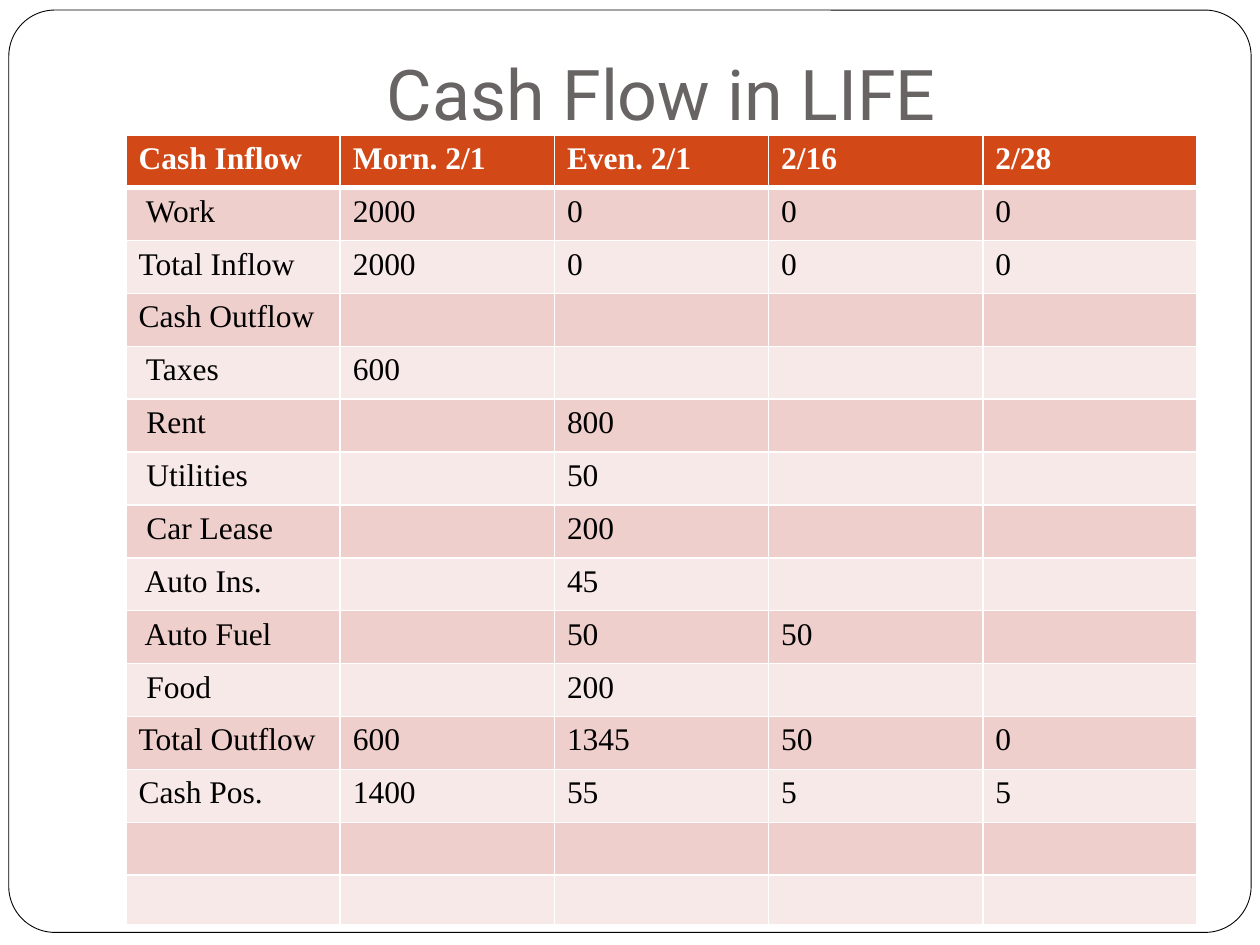
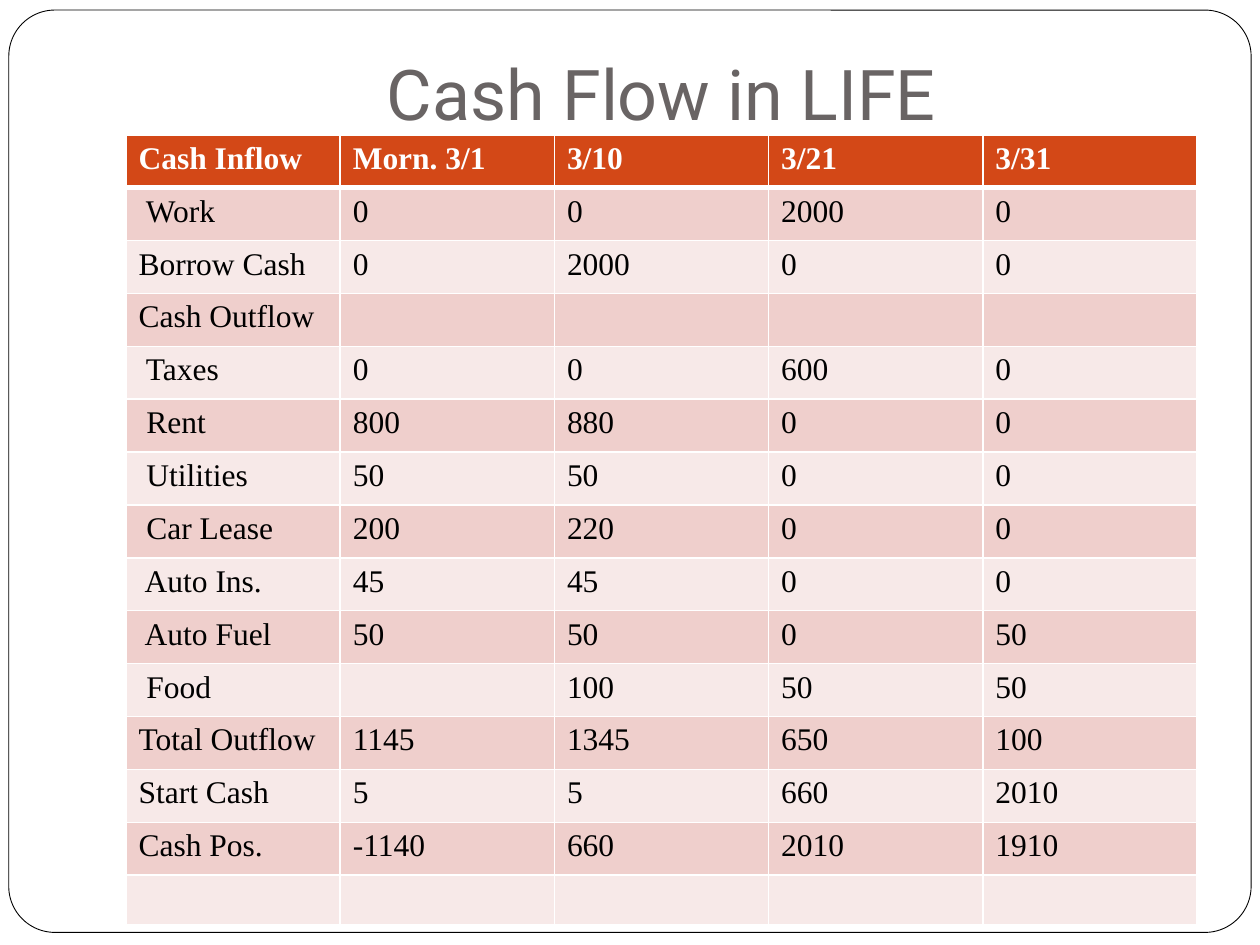
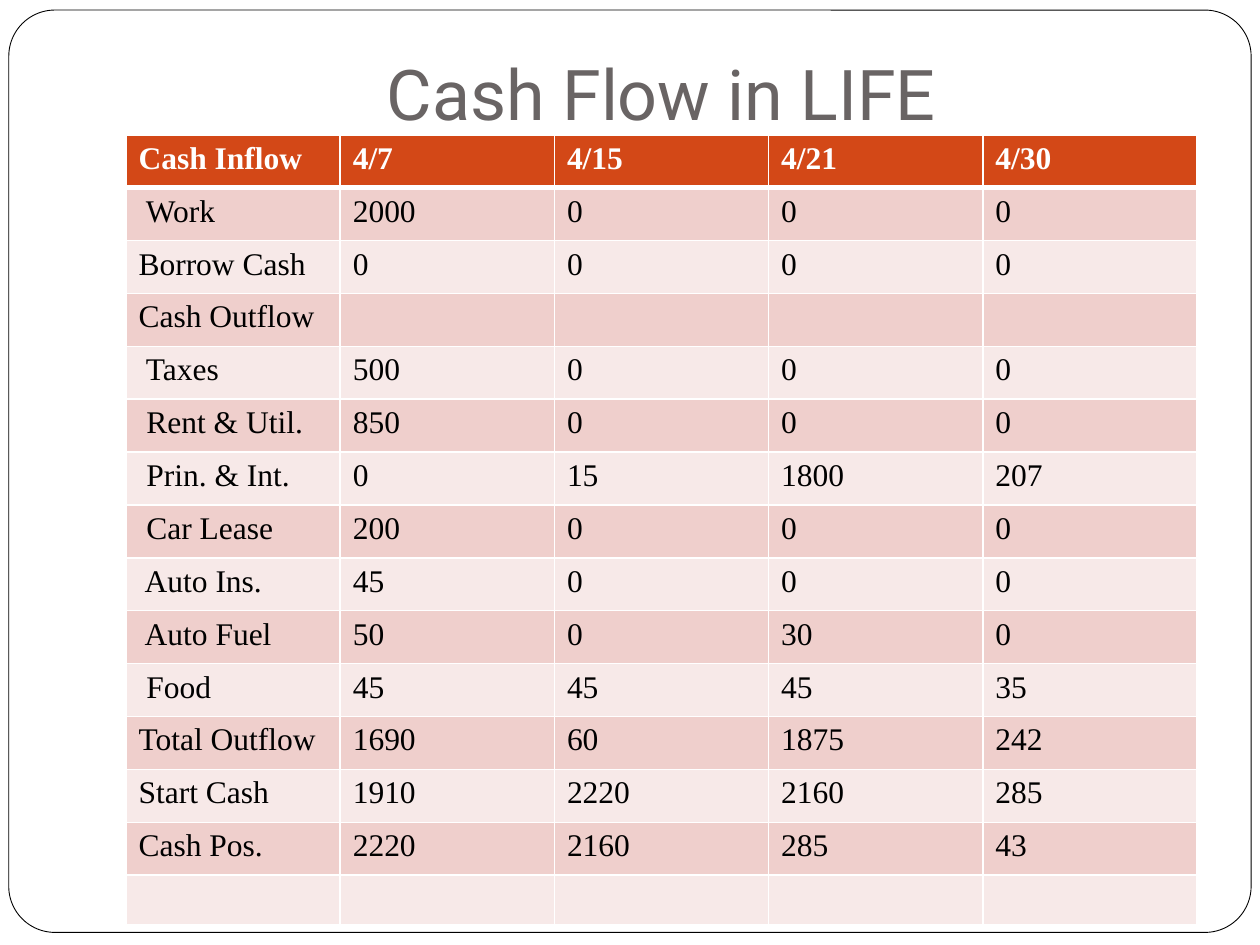
from pptx import Presentation, util as u
from pptx.dml.color import RGBColor
from pptx.enum import shapes, text
from pptx.oxml import parse_xml
from pptx.oxml.ns import nsdecls

WHITE = RGBColor(0xFF, 0xFF, 0xFF)
BLACK = RGBColor(0, 0, 0)
GRAY = RGBColor(0x69, 0x64, 0x64)
RUST = RGBColor(0xD3, 0x48, 0x17)
ROSE = RGBColor(0xEF, 0xCF, 0xCC)
BLUSH = RGBColor(0xF7, 0xE9, 0xE8)

FEB = """Cash Inflow|Morn. 2/1|Even. 2/1|2/16|2/28
 Work|2000|0|0|0
Total Inflow|2000|0|0|0
Cash Outflow||||
 Taxes|600|||
 Rent||800||
 Utilities||50||
 Car Lease||200||
 Auto Ins.||45||
 Auto Fuel||50|50|
 Food||200||
Total Outflow|600|1345|50|0
Cash Pos.|1400|55|5|5
||||
||||"""
MAR = """Cash Inflow|Morn. 3/1|3/10|3/21|3/31
 Work|0|0|2000|0
Borrow Cash|0|2000|0|0
Cash Outflow||||
 Taxes|0|0|600|0
 Rent|800|880|0|0
 Utilities|50|50|0|0
 Car Lease|200|220|0|0
 Auto Ins.|45|45|0|0
 Auto Fuel|50|50|0|50
 Food||100|50|50
Total Outflow|1145|1345|650|100
Start Cash|5|5|660|2010
Cash Pos.|-1140|660|2010|1910
||||"""
APR = """Cash Inflow|4/7|4/15|4/21|4/30
 Work|2000|0|0|0
Borrow Cash|0|0|0|0
Cash Outflow||||
 Taxes|500|0|0|0
 Rent & Util.|850|0|0|0
 Prin. & Int.|0|15|1800|207
 Car Lease|200|0|0|0
 Auto Ins.|45|0|0|0
 Auto Fuel|50|0|30|0
 Food|45|45|45|35
Total Outflow|1690|60|1875|242
Start Cash|1910|2220|2160|285
Cash Pos.|2220|2160|285|43
||||"""

deck = Presentation()
deck.slide_width, deck.slide_height = u.Inches(10), u.Inches(7.5)
LEFT, TOP = u.Inches(1), u.Inches(1.07)
COL, ROW, LAST = u.Inches(1.7), u.Inches(0.42), u.Inches(0.39)
layout = deck.slide_layouts[5]


def write(para, words, face, size, color, bold=False):
    run = para.add_run()
    run.text = words
    run.font.name = face
    run.font.size = u.Pt(size)
    run.font.color.rgb = color
    run.font.bold = bold


def edge(cell, side, width):
    cell._tc.get_or_add_tcPr().append(parse_xml(
        f'<a:{side} {nsdecls("a")} w="{u.Pt(width)}"><a:solidFill>'
        f'<a:srgbClr val="{WHITE}"/></a:solidFill></a:{side}>'))


for month in (FEB, MAR, APR):
    slide = deck.slides.add_slide(layout)
    if month is FEB:
        frame = slide.shapes.add_shape(
            shapes.MSO_SHAPE.ROUNDED_RECTANGLE,
            u.Inches(0.07), u.Inches(0.08), u.Inches(9.86), u.Inches(7.32))
        frame.adjustments[0] = 0.05
        frame.shadow.inherit = False
        frame.fill.solid()
        frame.fill.fore_color.rgb = WHITE
        frame.line.color.rgb = BLACK
        frame.line.width = u.Pt(0.5)
        layout.shapes.element.insert(2, frame.element)

    title = slide.shapes.title
    title.left, title.top = LEFT, u.Inches(0.3)
    title.width, title.height = 5 * COL, u.Inches(0.87)
    box = title.text_frame
    box.auto_size = text.MSO_AUTO_SIZE.NONE
    box.vertical_anchor = text.MSO_ANCHOR.BOTTOM
    box.margin_bottom = u.Inches(0.1)
    para = box.paragraphs[0]
    para.alignment = text.PP_ALIGN.CENTER
    write(para, "Cash Flow in LIFE", "Roboto", 40, GRAY)

    rows = [line.split("|") for line in month.split("\n")]
    end = len(rows) - 1
    table = slide.shapes.add_table(
        len(rows), 5, LEFT, TOP, 5 * COL, end * ROW + LAST).table
    for col in table.columns:
        col.width = COL
    for r, row in enumerate(rows):
        table.rows[r].height = LAST if r == end else ROW
        head = r == 0
        for c, words in enumerate(row):
            cell = table.cell(r, c)
            edge(cell, "lnL", 1)
            edge(cell, "lnR", 1)
            edge(cell, "lnT", 3 if r == 1 else 1)
            edge(cell, "lnB", 3 if head else 1)
            cell.fill.solid()
            cell.fill.fore_color.rgb = RUST if head else ROSE if r % 2 else BLUSH
            if r == end:
                cell.margin_top = cell.margin_bottom = u.Inches(0.04)
            if words:
                write(cell.text_frame.paragraphs[0], words, "Times New Roman",
                      18, WHITE if head else BLACK, head)

deck.save("out.pptx")
